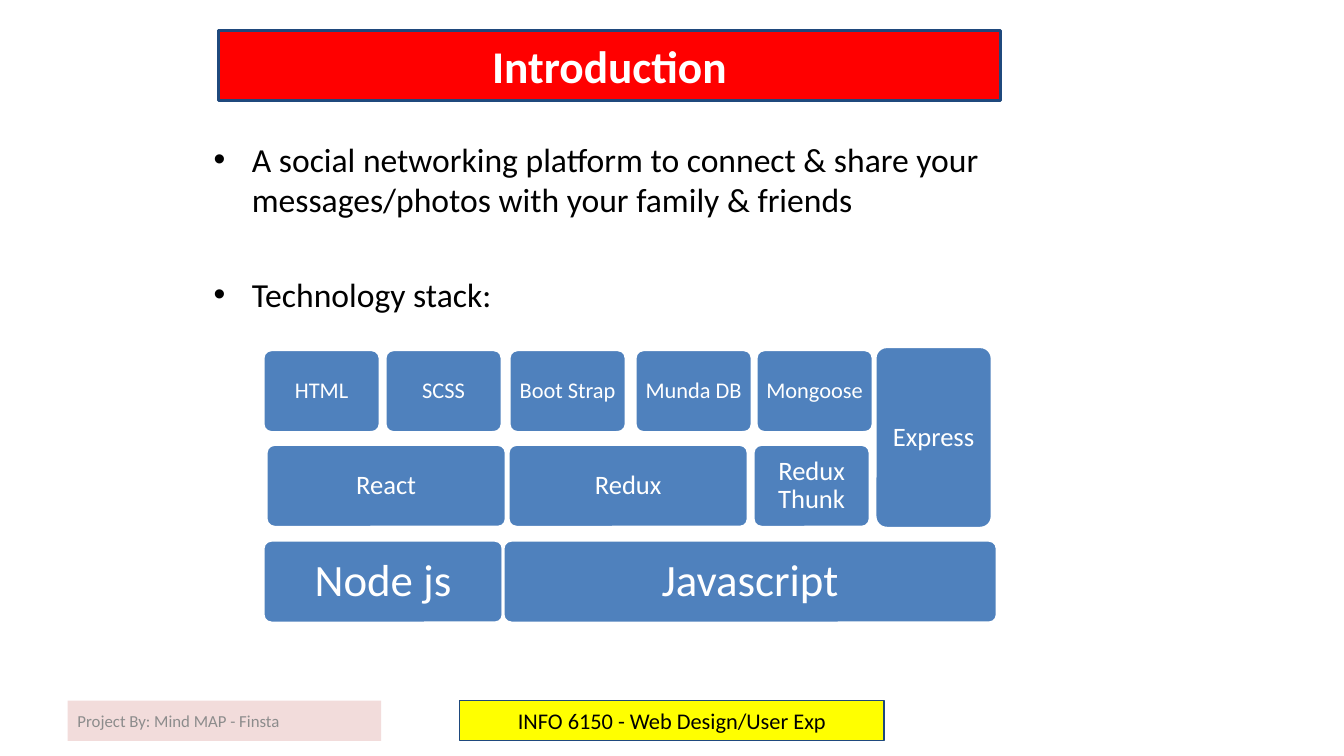
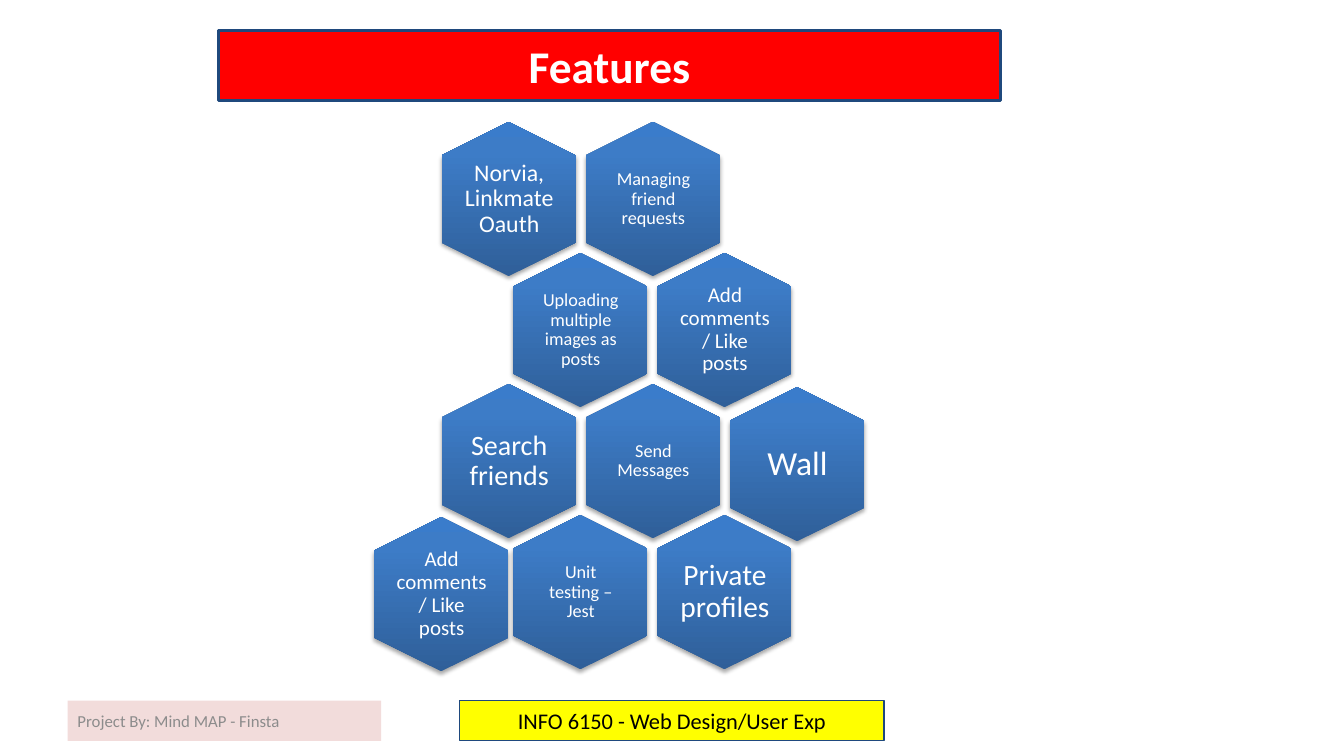
from pptx import Presentation
from pptx.dml.color import RGBColor
from pptx.enum.shapes import MSO_SHAPE
from pptx.enum.text import MSO_ANCHOR, MSO_AUTO_SIZE, PP_ALIGN
from pptx.oxml import parse_xml
from pptx.oxml.ns import nsdecls, qn
from pptx.util import Pt

PX = 9144
FONT = "Calibri"
RECT, ROUND, HEX = MSO_SHAPE.RECTANGLE, MSO_SHAPE.ROUNDED_RECTANGLE, MSO_SHAPE.HEXAGON
LEFT, MID = PP_ALIGN.LEFT, PP_ALIGN.CENTER
TOP, CENTER = MSO_ANCHOR.TOP, MSO_ANCHOR.MIDDLE
FIXED = MSO_AUTO_SIZE.NONE

HUES = {
    "white": "FFFFFF", "black": "000000", "red": "FF0000", "navy": "1F497D",
    "pink": "F2DCDB", "gray": "8C8C8C", "yellow": "FFFF00", "blue": "4F81BD",
    "deep": "2F5F99", "mid": "3D7CC7", "light": "3A7CCB",
}

POINTS = [
    "A social networking platform to connect & share your messages/photos with your family & friends",
    "Technology stack:",
]

STACK = [
    (3, 82, 16, 7, [("HTML", 0, 116), ("SCSS", 121, 116), ("Boot Strap", 244, 116),
                    ("Munda DB", 369, 116), ("Mongoose", 489, 116)]),
    (97, 82, 19, 8, [("React", 3, 238), ("Redux", 243, 238), ("Redux Thunk", 486, 116)]),
    (0, 180, 19, 8, [("Express", 607, 116)]),
    (192, 82, 32, 13, [("Node js", 0, 238), ("Javascript", 238, 490)]),
]

CELLS = [
    ("Norvia, Linkmate Oauth", 0, 0, 17, 0, (0, 0)),
    ("Managing friend requests", 2, 0, 13, 5, (0, 0)),
    ("Uploading multiple images as posts", 1, 1, 13, 5, (0, 0)),
    ("Add comments / Like posts", 3, 1, 15, 0, (0, 0)),
    ("Search friends", 0, 2, 20, 0, (0, 0)),
    ("Send Messages", 2, 2, 13, 5, (0, 0)),
    ("Wall", 4, 2, 24, 10, (0, 3)),
    ("Unit testing – Jest", 1, 3, 13, 5, (0, 0)),
    ("Private profiles", 3, 3, 21, 0, (0, 0)),
    ("Add comments / Like posts", -1, 3, 15, 0, (5, 2)),
]


def px(*nums):
    return [n * PX for n in nums]


def rgb(name):
    return RGBColor.from_string(HUES[name])


def paint(shape, fill, line=None, width=1):
    shape.fill.solid()
    shape.fill.fore_color.rgb = rgb(fill)
    if line:
        shape.line.color.rgb = rgb(line)
        shape.line.width = Pt(width)
    else:
        shape.line.fill.background()


def write(shape, text, size=16, color="white", bold=False, align=MID,
          anchor=CENTER, inset=None, lead=None):
    frame = shape.text_frame
    frame.word_wrap = True
    frame.auto_size = FIXED
    frame.vertical_anchor = anchor
    if inset is not None:
        frame.margin_left = frame.margin_right = inset * PX
        frame.margin_top = frame.margin_bottom = inset * PX
    frame.text = text
    for para in frame.paragraphs:
        para.alignment = align
        para.line_spacing = lead
        for run in para.runs:
            font = run.font
            font.name, font.size, font.bold = FONT, Pt(size), bold
            font.color.rgb = rgb(color)


def block(slide, kind, box, fill, line=None, width=1):
    shape = slide.shapes.add_shape(kind, *px(*box))
    shape.shadow.inherit = False
    paint(shape, fill, line, width)
    return shape


def page(deck, text):
    slide = deck.slides.add_slide(deck.slide_layouts[5])
    title = slide.shapes.title
    title.left, title.top, title.width, title.height = px(217, 30, 775, 70)
    paint(title, "red", "navy", 2)
    write(title, text, size=32.4, bold=True)
    team = block(slide, RECT, (67, 695, 311, 40), "pink")
    write(team, "Project By: Mind MAP - Finsta", size=12, color="gray", align=LEFT)
    course = block(slide, RECT, (456, 695, 421, 40), "yellow", "navy")
    write(course, "INFO 6150 - Web Design/User Exp", color="black")
    return slide


def bullets(slide, box):
    shape = slide.shapes.add_textbox(*px(*box))
    write(shape, "\n".join(POINTS), size=24, color="black", align=LEFT, anchor=TOP)
    for i, para in enumerate(shape.text_frame.paragraphs):
        para.space_before = Pt(39 if i else 0)
        props = para._p.get_or_add_pPr()
        props.set("marL", str(38 * PX))
        props.set("indent", str(-38 * PX))
        props.append(parse_xml(f'<a:buFont {nsdecls("a")} typeface="Arial"/>'))
        props.append(parse_xml(f'<a:buChar {nsdecls("a")} char="•"/>'))


def stack(slide, left, top):
    for y, high, size, inset, tiles in STACK:
        for text, x, wide in tiles:
            tile = block(slide, ROUND, (left + x, top + y, wide, high), "blue", "white", 2)
            tile.adjustments[0] = 0.1
            write(tile, text, size=size, inset=inset, lead=0.9)


def shade(shape):
    stops = "".join(
        f'<a:gs pos="{pos * 1000}"><a:srgbClr val="{HUES[hue]}"/></a:gs>'
        for pos, hue in [(0, "deep"), (80, "mid"), (100, "light")])
    shape.line.fill.background()
    shape.shadow.inherit = False
    props = shape._element.spPr
    props.find(qn("a:prstGeom")).addnext(parse_xml(
        f'<a:gradFill {nsdecls("a")} rotWithShape="0"><a:gsLst>{stops}</a:gsLst>'
        '<a:lin ang="16200000" scaled="0"/></a:gradFill>'))
    props.find(qn("a:effectLst")).append(parse_xml(
        f'<a:outerShdw {nsdecls("a")} blurRad="{Pt(3.1)}" dist="{Pt(1.8)}" dir="5400000" '
        f'rotWithShape="0"><a:srgbClr val="{HUES["black"]}"><a:alpha val="35000"/>'
        '</a:srgbClr></a:outerShdw>'))


def comb(slide, left, top):
    for text, col, row, size, inset, (dx, dy) in CELLS:
        x = left + col * 143 // 2 + dx
        y = top + row * 130 + dy
        cell = slide.shapes.add_shape(HEX, *px(x, y, 153, 133))
        cell.rotation = 90
        shade(cell)
        label = slide.shapes.add_textbox(*px(x + 31, y + 14, 92, 105))
        write(label, text, size=size, inset=inset, lead=0.9)


def main():
    deck = Presentation()
    deck.slide_width, deck.slide_height = px(1333, 750)
    intro = page(deck, "Introduction")
    bullets(intro, (202, 133, 900, 553))
    stack(intro, 261, 344)
    comb(page(deck, "Features"), 428, 131)
    deck.save("out.pptx")


if __name__ == "__main__":
    main()
